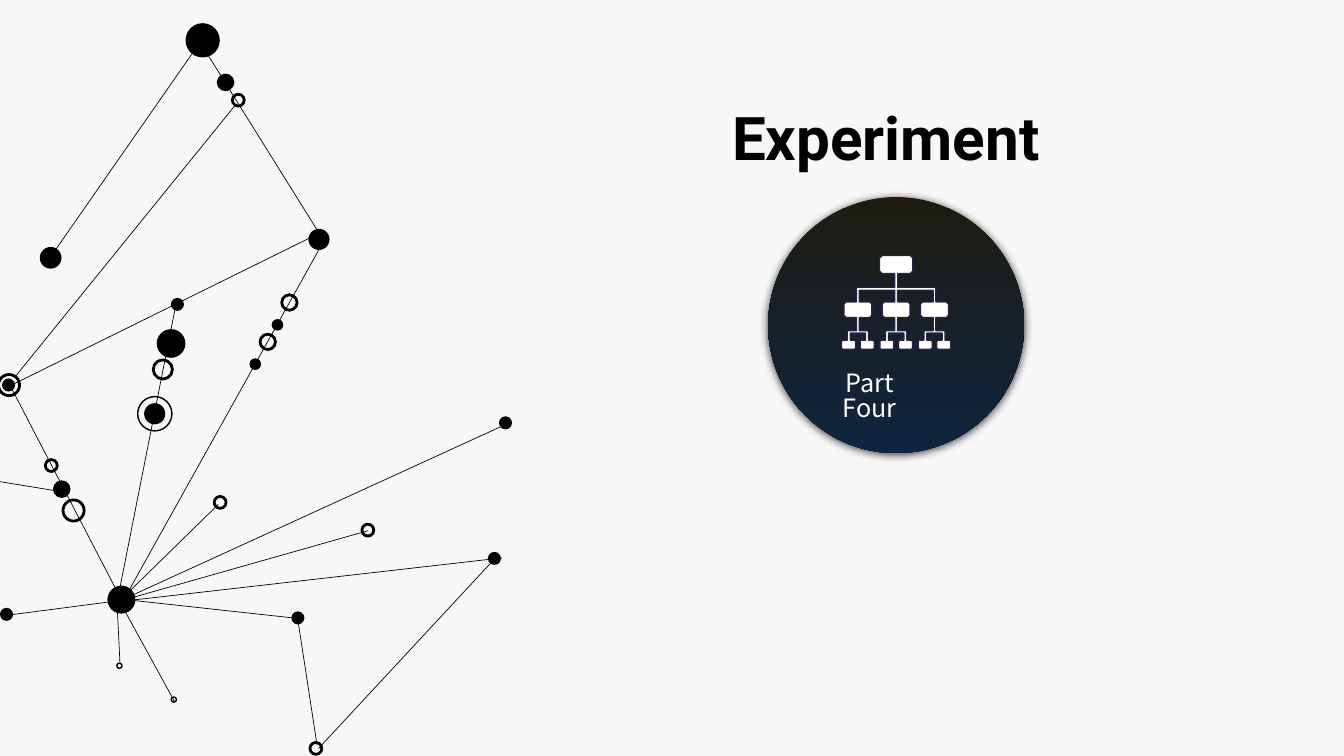
import pptx
import pptx.dml.color
import pptx.enum.shapes
import pptx.enum.text
import pptx.oxml
import pptx.oxml.ns
import pptx.util

Pt = pptx.util.Pt
OVAL = pptx.enum.shapes.MSO_SHAPE.OVAL
STRAIGHT = pptx.enum.shapes.MSO_CONNECTOR.STRAIGHT
ALIGN = pptx.enum.text.PP_ALIGN
ANCHOR = pptx.enum.text.MSO_ANCHOR
AUTO_SIZE = pptx.enum.text.MSO_AUTO_SIZE
DRAWING_NS = pptx.oxml.ns.nsdecls("a")

COLORS = {
    name: pptx.dml.color.RGBColor.from_string(value)
    for name, value in {
        "background": "F7F7F7",
        "ink": "000000",
        "white": "FFFFFF",
        "badge_top": "1E1C11",
        "badge_bottom": "0F253F",
        "icon_edge": "272049",
    }.items()
}

presentation = pptx.Presentation()
presentation.slide_width = Pt(1920)
presentation.slide_height = Pt(1080)
slide = presentation.slides.add_slide(presentation.slide_layouts[6])
slide.background.fill.solid()
slide.background.fill.fore_color.rgb = COLORS["background"]


def add_text(text, left, top, width, height, *, size, font, color, bold=False,
             align=ALIGN.LEFT, anchor=ANCHOR.TOP, spacing=1.0, inset=4,
             auto_size=AUTO_SIZE.NONE):
    box = slide.shapes.add_textbox(Pt(left), Pt(top), Pt(width), Pt(height))
    frame = box.text_frame
    frame.word_wrap = True
    frame.auto_size = auto_size
    frame.vertical_anchor = anchor
    frame.margin_left = frame.margin_right = Pt(inset)
    frame.margin_top = frame.margin_bottom = Pt(inset)
    paragraph = frame.paragraphs[0]
    paragraph.alignment = align
    paragraph.line_spacing = spacing
    run = paragraph.add_run()
    run.text = text
    run.font.size = Pt(size)
    run.font.name = font
    run.font.bold = bold
    run.font.color.rgb = COLORS[color]


def add_circle(left, top, diameter):
    shape = slide.shapes.add_shape(OVAL, Pt(left), Pt(top), Pt(diameter), Pt(diameter))
    shape.shadow.inherit = False
    return shape


# Network links: from x, from y, to x, to y
links = [
    (445.7, 338.4, 13.7, 551.5), (165.6, 841.7, 14.4, 550.8),
    (432, 884.2, 168.5, 855.4), (311.8, 720.7, 182.9, 846.7),
    (715, 609.8, 167, 860.4), (525.6, 758.2, 185.8, 854.6),
    (717.1, 797, 167.8, 859.7), (252.7, 428.4, 169.2, 850.3),
    (3.6, 879.8, 180, 856.8), (459.4, 349.9, 172.8, 864),
    (424.1, 876.2, 452.9, 1064.2), (455, 1069.2, 709.2, 795.6),
    (-60.5, 678.2, 89.3, 702.7), (291.6, 69.8, 465.1, 347.8),
    (337.7, 148.3, 20.2, 540), (167.8, 874.1, 171.4, 947.5),
    (177.1, 870.5, 249.8, 1003), (79.2, 357.1, 288.7, 56.2),
]
for from_x, from_y, to_x, to_y in links:
    link = slide.shapes.add_connector(STRAIGHT, Pt(from_x), Pt(from_y), Pt(to_x), Pt(to_y))
    link.line.color.rgb = COLORS["ink"]
    link.line.width = Pt(1)
    link._element.spPr.append(pptx.oxml.parse_xml(f"<a:effectLst {DRAWING_NS}/>"))

# Solid nodes: left, top, diameter
dots = [
    (2.9, 540.7, 18.7), (153.4, 836.6, 40), (440.6, 326.9, 30.2),
    (277.9, 47.5, 18.7), (0, 868.3, 18.7), (416.2, 873.4, 18.7),
    (712.8, 594.7, 18.7), (697, 788.4, 18.7), (244.1, 425.5, 18.7),
    (75.6, 686.2, 25.2), (309.6, 105.1, 25.2), (388.1, 455.8, 16.6),
    (356.4, 511.9, 16.6), (265, 33.1, 49), (205.9, 576, 30.2),
    (56.9, 352.8, 31), (223.9, 470.2, 41),
]
for left, top, diameter in dots:
    dot = add_circle(left, top, diameter)
    dot.fill.solid()
    dot.fill.fore_color.rgb = COLORS["ink"]
    dot.line.fill.background()

# Open nodes: left, top, diameter, line width
rings = [
    (-2.2, 535, 30.2, 4), (272.2, 41.8, 30.2, 2), (331.9, 134.6, 17, 4),
    (517, 748.8, 17, 4), (306, 709.2, 17, 4), (64.8, 656.6, 17, 4),
    (90, 714.2, 30.2, 4), (442.8, 1060.6, 17, 4), (167, 947.5, 7.2, 2),
    (244.8, 995.8, 7.2, 2), (402.5, 421.2, 22, 4), (371.5, 477.4, 22, 4),
    (196.6, 566.6, 49, 2), (218.9, 514.1, 27.4, 4),
]
for left, top, diameter, line_width in rings:
    ring = add_circle(left, top, diameter)
    ring.fill.background()
    ring.line.color.rgb = COLORS["ink"]
    ring.line.width = Pt(line_width)

# Section badge
badge = add_circle(1097.3, 281.5, 365.8)
badge.line.fill.background()
badge.fill.gradient()
badge.fill.gradient_angle = 270
for stop, name in zip(badge.fill.gradient_stops, ("badge_top", "badge_bottom")):
    stop.color.rgb = COLORS[name]
badge._element.spPr.find(pptx.oxml.ns.qn("a:effectLst")).append(pptx.oxml.parse_xml(
    f'<a:outerShdw {DRAWING_NS} blurRad="{int(Pt(13))}" dist="{int(Pt(2))}" dir="5400000" '
    f'rotWithShape="0"><a:srgbClr val="{COLORS["ink"]}"><a:alpha val="75000"/>'
    '</a:srgbClr></a:outerShdw>'))

add_text("Part Four", 1199, 528, 87, 92, size=36, font="Noto Sans CJK SC",
         color="white", align=ALIGN.CENTER, spacing=0.82)
add_text("Experiment", 1041.8, 87.8, 477.4, 110.9, size=86, font="Roboto",
         color="ink", bold=True, anchor=ANCHOR.MIDDLE, spacing=2.0,
         auto_size=AUTO_SIZE.SHAPE_TO_FIT_TEXT)

# Tree icon: left halves of the outlines, measured from the icon's top centre
icon_x, icon_y, branch_gap = 1280.3, 365, 54.7
root_half = [
    (0, 0), (-20.2, 0), (-23.8, 3.6), (-23.8, 22.3), (-20.2, 26),
    (-2.2, 26), (-2.2, 45.4), (-branch_gap - 2, 45.4),
]
branch_half = [
    (-2, 49.7), (-2, 66.2), (-17, 66.2), (-20, 69.5), (-20, 85.5), (-17, 88.6),
    (-2, 88.6), (-2, 107.3), (-14.2, 107.3), (-15.2, 108.7), (-15.2, 121),
    (-21.8, 121), (-23.4, 122.8), (-23.4, 132.4), (-21.8, 134), (-4.9, 134),
    (-3.2, 132.4), (-3.2, 122.8), (-4.9, 121), (-10.9, 121), (-10.9, 110.9),
]
root_mirror = [(-x, y) for x, y in reversed(root_half)]
branch = branch_half + [(-x, y) for x, y in reversed(branch_half)]
branches = [(x + step * branch_gap, y) for step in (-1, 0, 1) for x, y in branch]
outline = [(Pt(icon_x + x), Pt(icon_y + y)) for x, y in root_half + branches + root_mirror]
builder = slide.shapes.build_freeform(*outline[0])
builder.add_line_segments(outline[1:], close=True)
icon = builder.convert_to_shape()
icon.shadow.inherit = False
icon.fill.solid()
icon.fill.fore_color.rgb = COLORS["white"]
icon.line.color.rgb = COLORS["icon_edge"]
icon.line.width = Pt(2)

presentation.save("out.pptx")
